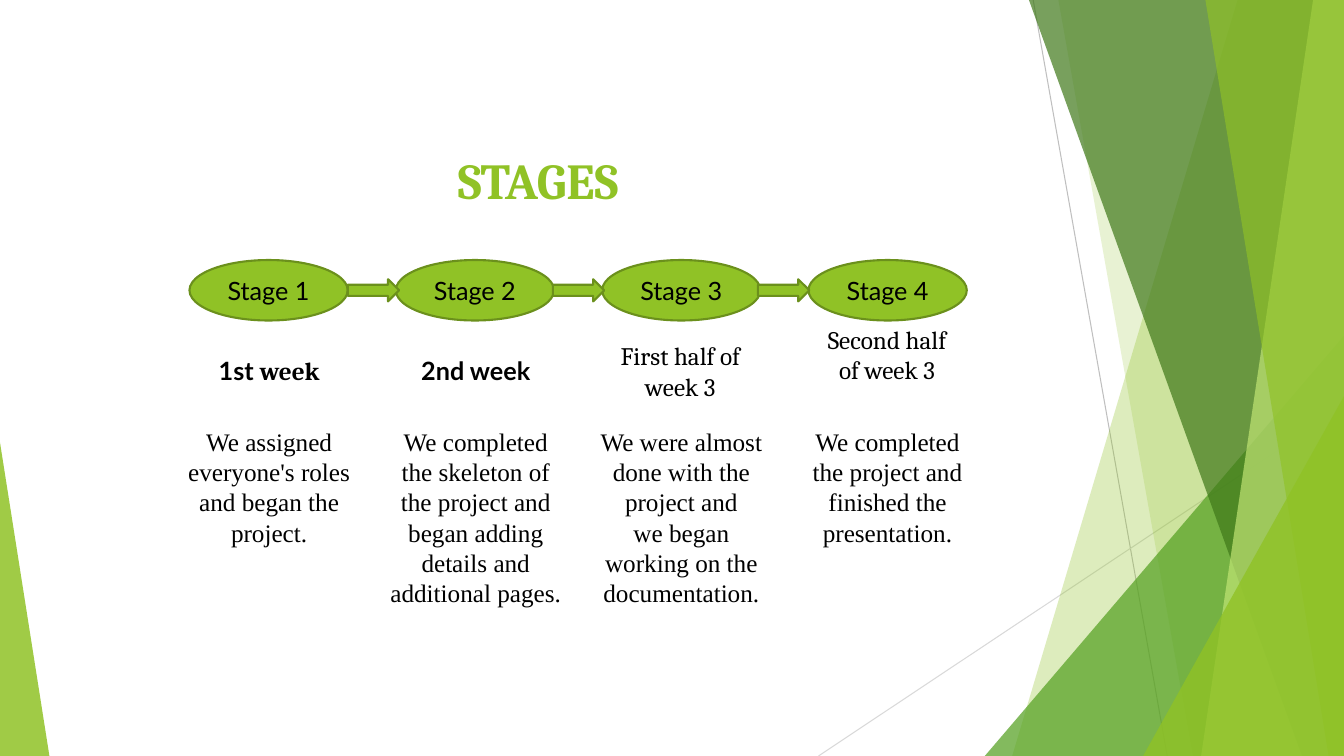
"""Build the four-stage project timeline slide."""
from lxml import etree
from pptx import Presentation
from pptx.dml.color import RGBColor
from pptx.enum.shapes import MSO_CONNECTOR, MSO_SHAPE
from pptx.enum.text import MSO_ANCHOR, MSO_AUTO_SIZE, PP_ALIGN
from pptx.oxml.ns import qn
from pptx.util import Pt

LINE = MSO_CONNECTOR.STRAIGHT
WEDGE, OVAL, ARROW = MSO_SHAPE.ISOSCELES_TRIANGLE, MSO_SHAPE.OVAL, MSO_SHAPE.RIGHT_ARROW
TOP, MIDDLE = MSO_ANCHOR.TOP, MSO_ANCHOR.MIDDLE
NONE, CENTER = MSO_AUTO_SIZE.NONE, PP_ALIGN.CENTER
WIDE, HIGH = 960, 540
GREEN, EDGE, BLACK = "90C226", "6B901C", "000000"
SANS, SERIF, ROMAN = "Lato", "Cambria", "Times New Roman"


def paint(fill, tone):
    fill.solid()
    fill.fore_color.rgb = RGBColor.from_string(tone)


def write(shape, text, font=SANS, size=18, bold=False, tone=BLACK, anchor=TOP, wrap=True):
    frame = shape.text_frame
    frame.auto_size, frame.word_wrap, frame.vertical_anchor = NONE, wrap, anchor
    for row, line in enumerate(text.split("\n")):
        if row:
            frame.add_paragraph()
        para = frame.paragraphs[-1]
        para.alignment = CENTER
        run = para.add_run()
        run.text = line
        run.font.name, run.font.size, run.font.bold = font, Pt(size), bold
        paint(run.font.fill, tone)


deck = Presentation()
deck.slide_width, deck.slide_height = Pt(WIDE), Pt(HIGH)
slide = deck.slides.add_slide(deck.slide_layouts[5])
shapes = slide.shapes

rays = [(738, 0, 833.76, HIGH, "BFBFBF"), (WIDE, 290.16, 584.64, HIGH, "D9D9D9")]
for x1, y1, x2, y2, tone in rays:
    ray = shapes.add_connector(LINE, Pt(x1), Pt(y1), Pt(x2), Pt(y2))
    ray.line.width = Pt(0.75)
    paint(ray.line.fill, tone)
    etree.SubElement(ray._element.spPr, qn("a:effectLst"))

# Bands hold top and bottom x; wedges hold left, top, width and peak.
decor = [
    ((884.16, 722.88), GREEN, 30),
    ((756, 851.76), GREEN, 20),
    ((703.44, 239.76, 256.56, 1), "54A021", 72),
    ((735.12, 929.52), "3F7819", 70),
    ((938.16, 858.24), "C0E474", 70),
    ((861.12, 948.96), GREEN, 65),
    ((816.48, 282.96, 143.52, 1), GREEN, 80),
    ((0, 316.08, 35.28, 0), GREEN, 85),
]
for spot, tone, alpha in decor:
    if len(spot) == 2:
        head, foot = spot
        pen = shapes.build_freeform(head, 0, scale=Pt(1))
        pen.add_line_segments([(WIDE, 0), (WIDE, HIGH), (foot, HIGH)])
        shard = pen.convert_to_shape()
    else:
        left, top, width, peak = spot
        shard = shapes.add_shape(WEDGE, Pt(left), Pt(top), Pt(width), Pt(HIGH - top))
        shard.adjustments[0] = peak
    shard.shadow.inherit = False
    shard.line.fill.background()
    paint(shard.fill, tone)
    color = shard._element.spPr.find(qn("a:solidFill"))[0]
    etree.SubElement(color, qn("a:alpha"), val=str(alpha * 1000))

title = shapes.title
title.left, title.top, title.width, title.height = Pt(0), Pt(102.96), Pt(768.96), Pt(103.68)
write(title, "STAGES", font=SERIF, size=36, bold=True, tone=GREEN)

START, STEP = 135.36, 147.4
chain = [(OVAL, START + STEP * i, 185.76, 113.04, 43.2) for i in range(4)]
chain += [(ARROW, 248.4 + 146.5 * i, 199.44, 36.72, 15.84) for i in range(3)]
for i, (kind, left, top, width, height) in enumerate(chain):
    link = shapes.add_shape(kind, Pt(left), Pt(top), Pt(width), Pt(height))
    link.shadow.inherit = False
    paint(link.fill, GREEN)
    paint(link.line.fill, EDGE)
    link.line.width = Pt(1.5)
    if kind == OVAL:
        write(link, f"Stage {i + 1}", anchor=MIDDLE, wrap=False)

weeks = [
    (144.72, 250.56, 95.04, 28.8, [("1st ", SANS, True), ("week", SERIF, True)]),
    (290.88, 250.56, 97.92, 28.8, [("2nd week", SANS, True)]),
    (432, 239.76, 108, 51.12, [("First half of week 3", SERIF, False)]),
    (583.2, 228.24, 100.8, 72.72, [("Second half of week 3", SERIF, False)]),
]
tasks = [
    (117.36, 149.76, 94.32, "We assigned everyone's roles and began the project."),
    (269.28, 141.12, 138.24, "We completed the skeleton of the project and began "
     "adding details and additional pages."),
    (418.32, 136.8, 138.24, "We were almost done with the project and\n"
     "we began working on the documentation."),
    (569.52, 128.88, 94.32, "We completed the project and finished the presentation."),
]
notes = weeks + [(x, 300.96, w, h, [(text, ROMAN, False)]) for x, w, h, text in tasks]
for left, top, width, height, parts in notes:
    box = shapes.add_textbox(Pt(left), Pt(top), Pt(width), Pt(height))
    for text, font, bold in parts:
        write(box, text, font=font, bold=bold)

deck.save("out.pptx")
